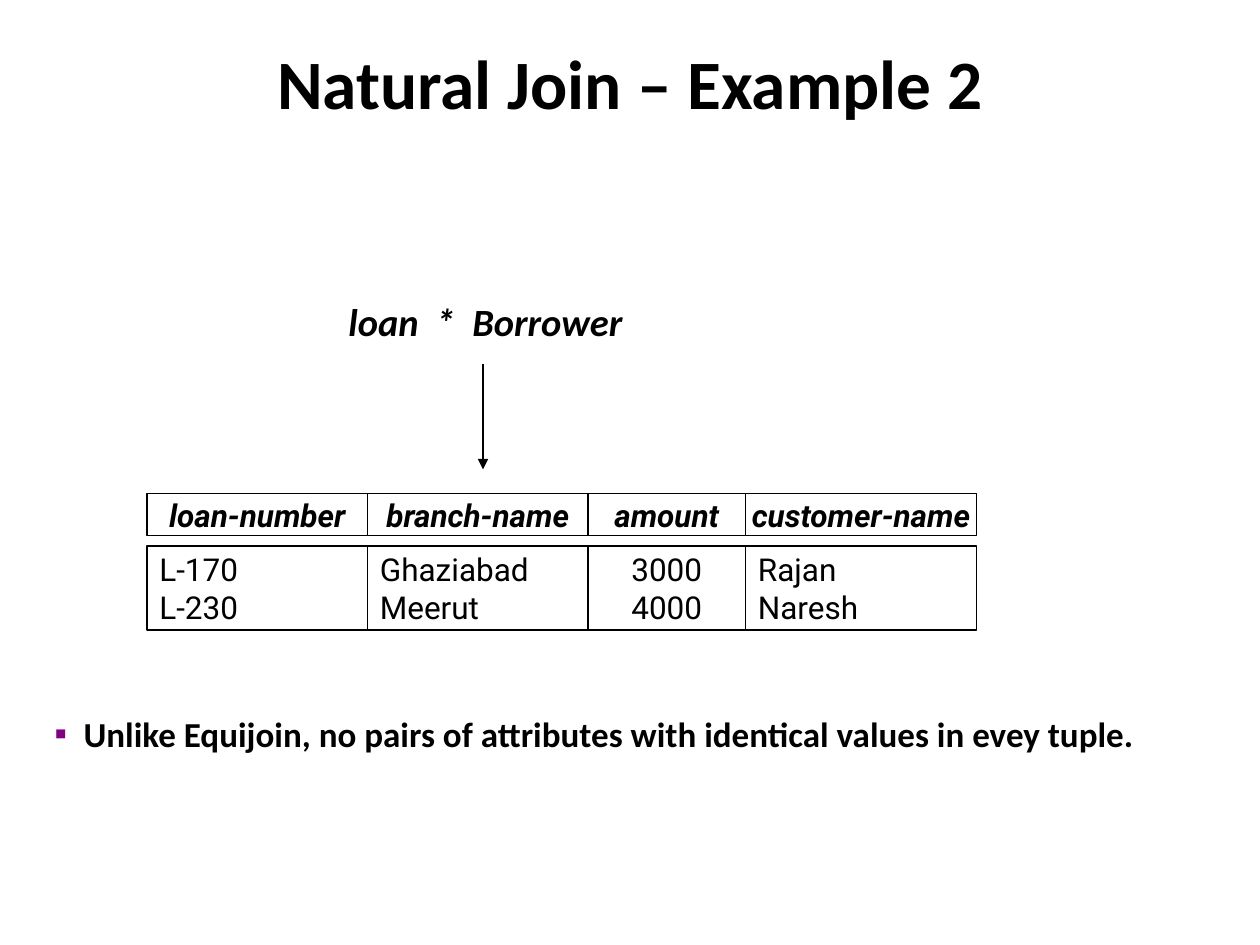
from lxml.etree import SubElement as Sub
from pptx import Presentation
from pptx.dml.color import RGBColor as Rgb
from pptx.enum.shapes import MSO_CONNECTOR as Link, MSO_SHAPE as Form
from pptx.enum.text import MSO_ANCHOR as Anchor, MSO_AUTO_SIZE as Fit, PP_ALIGN as Align
from pptx.oxml.ns import qn
from pptx.util import Inches, Pt

HUES = {"ink": "000000", "paper": "FFFFFF", "mark": "800080"}
FIELDS = [
    ("loan-number", 21, Align.LEFT, ["L-170", "L-230"]),
    ("branch-name", 21, Align.LEFT, ["Ghaziabad", "Meerut"]),
    ("amount", 15, Align.CENTER, ["3000", "4000"]),
    ("customer-name", 22, Align.LEFT, ["Rajan", "Naresh"]),
]


def unit(n):
    """Turn cells of the slide's 120 by 90 grid into a length."""
    return Inches(n / 12)


def hue(name):
    """Look up a colour."""
    return Rgb.from_string(HUES[name])


def write(para, text, size, face="Calibri", bold=True, slant=False):
    """Add one run to a paragraph."""
    run = para.add_run()
    run.text = text
    font = run.font
    font.name, font.size, font.bold, font.italic = face, Pt(size), bold, slant
    font.color.rgb = hue("ink")


def place(shape, box):
    """Move a placeholder to a box and fix its size."""
    shape.left, shape.top, shape.width, shape.height = map(unit, box)
    shape.text_frame.auto_size = Fit.NONE
    return shape.text_frame


def title(slide, box):
    """Fill the title."""
    frame = place(slide.shapes.title, box)
    frame.vertical_anchor = Anchor.MIDDLE
    para = frame.paragraphs[0]
    para.alignment = Align.CENTER
    write(para, "Natural Join – Example 2", 39.6)


def query(slide, box):
    """Write the join expression."""
    frame = slide.shapes.add_textbox(*map(unit, box)).text_frame
    frame.word_wrap = True
    para = frame.paragraphs[0]
    para.line_spacing = 0.9
    write(para, "loan  *  Borrower", 22, slant=True)


def arrow(slide, x, top, end):
    """Draw a downward arrow."""
    line = slide.shapes.add_connector(Link.STRAIGHT, *map(unit, (x, top, x, end)))
    line.line.color.rgb = hue("ink")
    line.line.width = Pt(0.75)
    Sub(line.line._get_or_add_ln(), qn("a:tailEnd"), type="triangle")
    Sub(line._element.spPr, qn("a:effectLst"))


def cell(slide, box, lines, align, head):
    """Draw one ruled cell with its lines of text."""
    shape = slide.shapes.add_shape(Form.RECTANGLE, *map(unit, box))
    shape.shadow.inherit = False
    shape.fill.solid()
    shape.fill.fore_color.rgb = hue("paper")
    shape.line.color.rgb = hue("ink")
    shape.line.width = Pt(0.75)
    frame = shape.text_frame
    frame.word_wrap = not head
    frame.vertical_anchor = Anchor.MIDDLE
    for i, text in enumerate(lines):
        para = frame.add_paragraph() if i else frame.paragraphs[0]
        para.alignment = align
        write(para, text, 18, "Roboto", head, head)


def result(slide, left, top):
    """Lay out the joined relation, a header row above its records."""
    for name, wide, align, rows in FIELDS:
        cell(slide, (left, top, wide, 4), [name], Align.CENTER, True)
        cell(slide, (left, top + 5, wide, 8), rows, align, False)
        left += wide


def remark(slide, box):
    """Fill the body with the bulleted remark."""
    para = place(slide.placeholders[1], box).paragraphs[0]
    para.alignment = Align.JUSTIFY
    para.space_before = Pt(0)
    props = para._p.get_or_add_pPr()
    props.set("marL", str(Inches(0.23)))
    props.set("indent", str(-Inches(0.23)))
    Sub(Sub(props, qn("a:buClr")), qn("a:srgbClr"), val=HUES["mark"])
    Sub(props, qn("a:buFont"), typeface="Calibri")
    Sub(props, qn("a:buChar"), char="▪")
    write(para, "Unlike Equijoin, no pairs of attributes with identical values in evey tuple.", 20)


def main():
    """Build the slide."""
    deck = Presentation()
    deck.slide_width, deck.slide_height = unit(120), unit(90)
    slide = deck.slides.add_slide(deck.slide_layouts[1])
    title(slide, (6, 3.6, 108, 8.4))
    result(slide, 14, 47)
    query(slide, (32, 28.3, 37.2, 5.2))
    arrow(slide, 46, 34.7, 44.7)
    remark(slide, (4, 67.3, 112, 5.2))
    deck.save("out.pptx")


if __name__ == "__main__":
    main()
